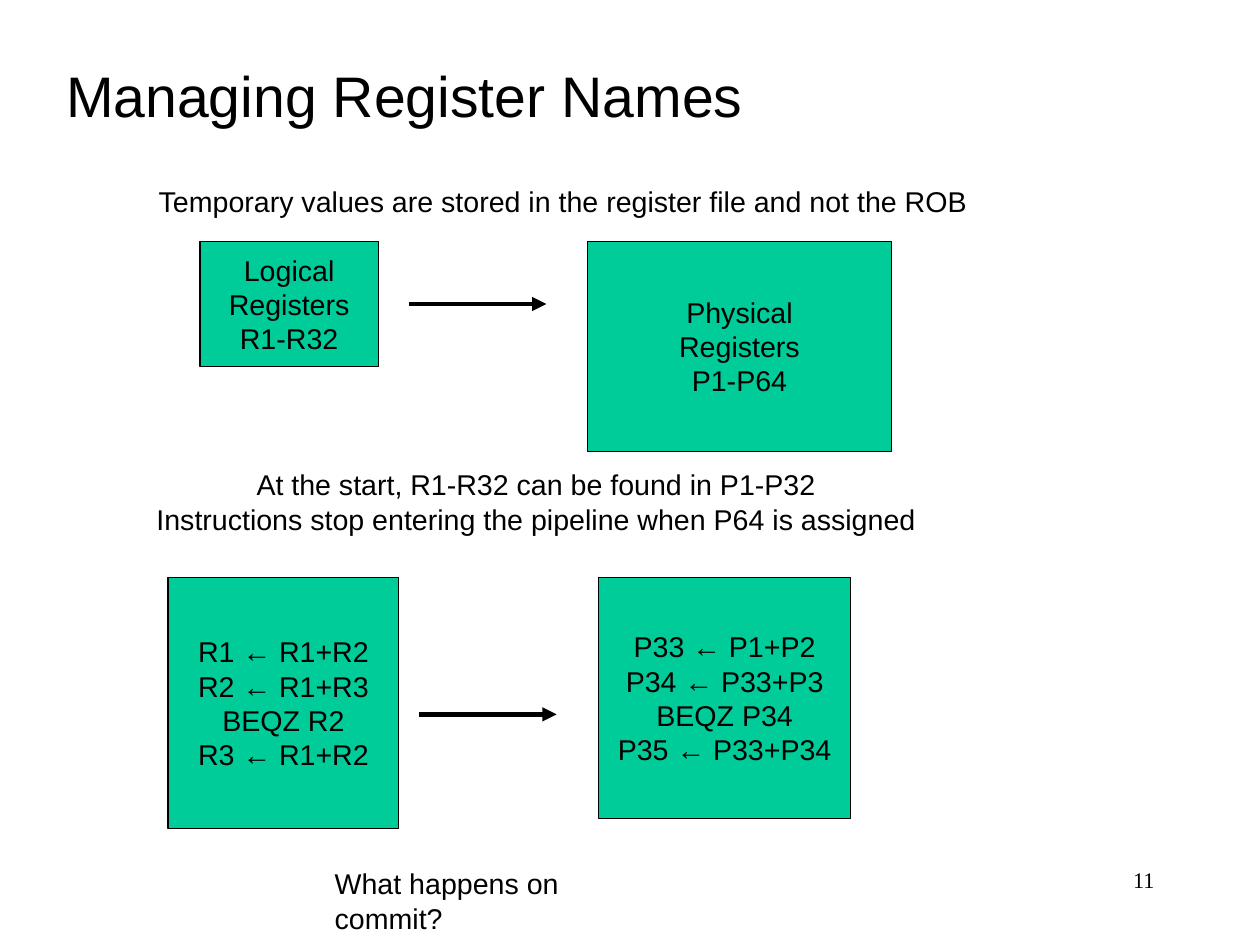
from lxml import etree
from pptx import Presentation
from pptx.dml.color import RGBColor
from pptx.enum.shapes import MSO_CONNECTOR, MSO_SHAPE
from pptx.enum.text import MSO_ANCHOR, MSO_AUTO_SIZE, PP_ALIGN
from pptx.oxml.ns import qn
from pptx.util import Cm, Inches, Pt

RECT = MSO_SHAPE.RECTANGLE
STRAIGHT = MSO_CONNECTOR.STRAIGHT
TOP, MIDDLE = MSO_ANCHOR.TOP, MSO_ANCHOR.MIDDLE
FIXED, GROW = MSO_AUTO_SIZE.NONE, MSO_AUTO_SIZE.SHAPE_TO_FIT_TEXT
LEFT, CENTER, RIGHT = PP_ALIGN.LEFT, PP_ALIGN.CENTER, PP_ALIGN.RIGHT

COLORS = {"ink": "000000", "box": "00CC99"}

TITLE = "Managing Register Names"
PAGE_NUMBER = "11"
NOTES = [
    (["At the start, R1-R32 can be found in P1-P32",
      "Instructions stop entering the pipeline when P64 is assigned"],
     (1.27, 4.04, 6.84, 0.7), CENTER),
    (["What happens on commit?"], (2.83, 7.53, 3.17, 0.4), LEFT),
    (["Temporary values are stored in the register file and not the ROB"],
     (1.29, 1.56, 7.3, 0.4), LEFT),
]
BOXES = [
    (["Logical", "Registers", "R1-R32"], (1.75, 2.11, 1.56, 1.1)),
    (["Physical", "Registers", "P1-P64"], (5.14, 2.11, 2.66, 1.84)),
    (["R1 ← R1+R2", "R2 ← R1+R3", "BEQZ R2", "R3 ← R1+R2"],
     (1.47, 5.05, 2.02, 2.2)),
    (["P33 ← P1+P2", "P34 ← P33+P3", "BEQZ P34", "P35 ← P33+P34"],
     (5.24, 5.05, 2.2, 2.11)),
]
ARROW_LENGTH = 1.2
ARROW_STARTS = [(3.67, 6.25), (3.58, 2.66)]

prs = Presentation()
prs.slide_width, prs.slide_height = Cm(28), Cm(21)
s = prs.slides.add_slide(prs.slide_layouts[6])


def color(name):
    return RGBColor.from_string(COLORS[name])


def add_text(lines, at, size=18, font="Arial", align=LEFT, anchor=TOP,
             wrap=False, fit=GROW, fill=None):
    place = [Inches(v) for v in at]
    if fill:
        sp = s.shapes.add_shape(RECT, *place)
        sp.shadow.inherit = False
        sp.fill.solid()
        sp.fill.fore_color.rgb = color(fill)
        sp.line.color.rgb = color("ink")
        sp.line.width = Pt(0.75)
    else:
        sp = s.shapes.add_textbox(*place)
    tf = sp.text_frame
    tf.word_wrap = wrap
    tf.auto_size = fit
    tf.vertical_anchor = anchor
    for i, line in enumerate(lines):
        p = tf.paragraphs[0] if i == 0 else tf.add_paragraph()
        p.alignment = align
        r = p.add_run()
        r.text = line
        r.font.size = Pt(size)
        r.font.name = font
        r.font.color.rgb = color("ink")


def add_arrow(x, y):
    ends = [Inches(v) for v in (x, y, x + ARROW_LENGTH, y)]
    cx = s.shapes.add_connector(STRAIGHT, *ends)
    cx.line.color.rgb = color("ink")
    cx.line.width = Pt(3)
    ln = cx._element.spPr.find(qn("a:ln"))
    etree.SubElement(ln, qn("a:tailEnd"), type="triangle")
    etree.SubElement(cx._element.spPr, qn("a:effectLst"))


add_text([PAGE_NUMBER], (7.9, 7.53, 2.3, 0.55), size=14,
         font="Times New Roman", align=RIGHT, wrap=True, fit=FIXED)
add_text([TITLE], (0.48, 0.48, 6.12, 0.7), size=36)
for lines, at in BOXES:
    add_text(lines, at, align=CENTER, anchor=MIDDLE, fit=FIXED, fill="box")
for x, y in ARROW_STARTS:
    add_arrow(x, y)
for lines, at, align in NOTES:
    add_text(lines, at, align=align)

prs.save("out.pptx")
